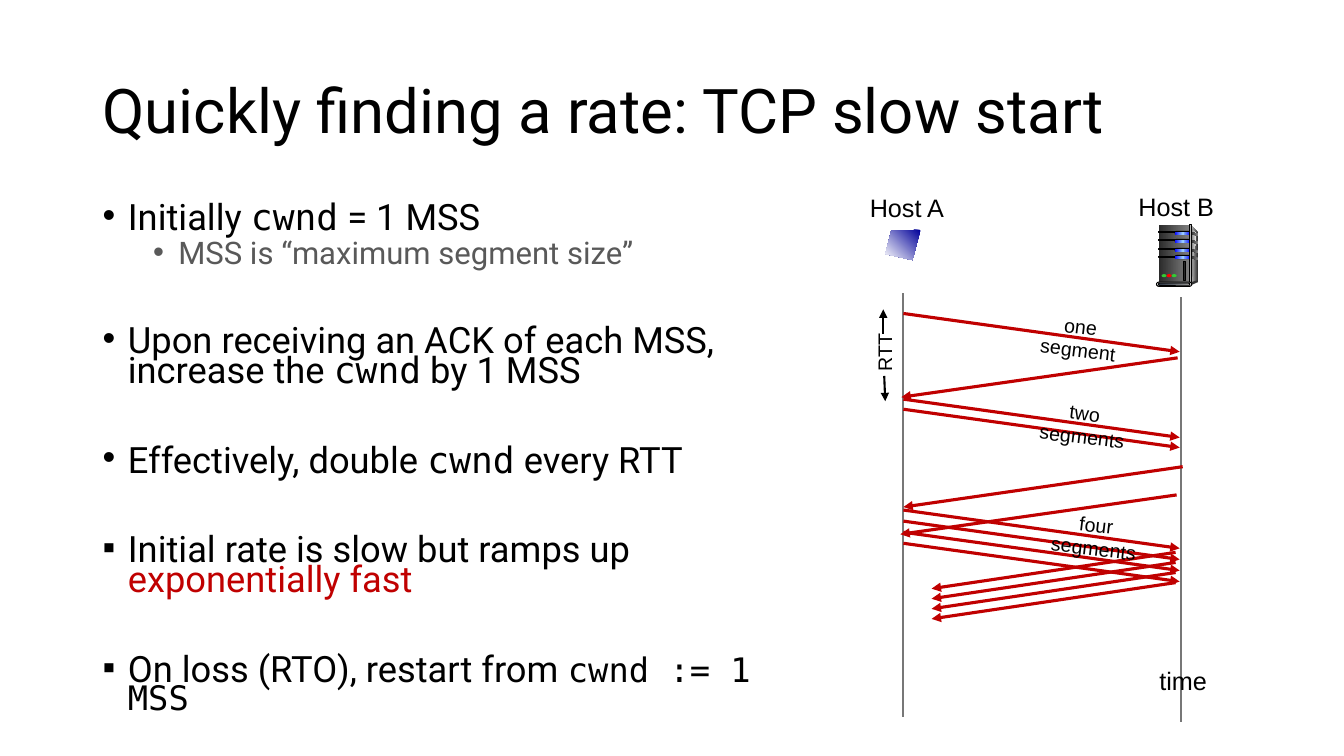
import copy
import dataclasses

import pptx
import pptx.dml.color
import pptx.enum.shapes
import pptx.enum.text
import pptx.oxml.ns
import pptx.util
from lxml import etree

PX = 9144
SHAPE = pptx.enum.shapes.MSO_SHAPE
ALIGN = pptx.enum.text.PP_ALIGN
ANCHOR = pptx.enum.text.MSO_ANCHOR


@dataclasses.dataclass(frozen=True)
class Theme:
    ink: str = "000000"
    muted: str = "595959"
    accent: str = "C00000"
    timeline: str = "777777"
    dark: str = "292929"
    mid: str = "808080"
    edge: str = "333333"
    light: str = "DDDDDD"
    green: str = "33CC33"
    red: str = "FF0000"
    screen: tuple = ("000099", "FFFFFF")
    lamp: tuple = ("0000FF", "99CCFF", "0000FF")
    foot: tuple = ("44546A", "E7E6E6")
    sans: str = "Roboto"
    mono: str = "DejaVu Sans Mono"
    label: str = "Arial"
    title_size: float = 44
    body_size: float = 25.9
    code_size: float = 24.1
    sub_size: float = 22.2
    host_size: float = 18
    segment_size: float = 14


THEME = Theme()


def rgb(color):
    return pptx.dml.color.RGBColor.from_string(color)


def px(*lengths):
    return [length * PX for length in lengths]


def add_run(paragraph, text, size, font, color=THEME.ink):
    run = paragraph.add_run()
    run.text = text
    run.font.size = pptx.util.Pt(size)
    run.font.name = font
    run.font.color.rgb = rgb(color)


def add_frame(slide, box, wrap=True, anchor=ANCHOR.TOP, rotation=0, inset=10):
    holder = slide.shapes.add_textbox(*px(*box))
    holder.rotation = rotation
    frame = holder.text_frame
    frame.word_wrap = wrap
    frame.vertical_anchor = anchor
    frame.margin_left = frame.margin_right = inset * PX
    return frame


def add_label(slide, text, box, size, rotation=0, wrap=False, inset=10):
    frame = add_frame(slide, box, wrap, rotation=rotation, inset=inset)
    frame.paragraphs[0].alignment = ALIGN.CENTER
    add_run(frame.paragraphs[0], text, size, THEME.label)


def add_bullet(paragraph, mark, indent, before, runs):
    properties = paragraph._p.get_or_add_pPr()
    properties.set("marL", str(indent * PX))
    properties.set("indent", str(-25 * PX))
    for tag, key, value in (("a:buFont", "typeface", THEME.label), ("a:buChar", "char", mark)):
        etree.SubElement(properties, pptx.oxml.ns.qn(tag)).set(key, value)
    paragraph.line_spacing = 0.7
    if before:
        paragraph.space_before = pptx.util.Pt(before)
    for run in runs:
        add_run(paragraph, *run)


def add_line(slide, ends, color, width, arrow=False):
    line = slide.shapes.add_connector(pptx.enum.shapes.MSO_CONNECTOR.STRAIGHT, *px(*ends))
    line.line.color.rgb = rgb(color)
    line.line.width = pptx.util.Pt(width)
    if arrow:
        outline = line.line._get_or_add_ln()
        etree.SubElement(outline, pptx.oxml.ns.qn("a:tailEnd")).set("type", "triangle")
    etree.SubElement(line._element.spPr, pptx.oxml.ns.qn("a:effectLst"))


def paint(part, fill, angle=0, outlined=False):
    part.shadow.inherit = False
    if isinstance(fill, str):
        part.fill.solid()
        part.fill.fore_color.rgb = rgb(fill)
    else:
        part.fill.gradient()
        part.fill.gradient_angle = angle
        stops = part._element.spPr.find(".//" + pptx.oxml.ns.qn("a:gsLst"))
        while len(stops) < len(fill):
            stops.append(copy.deepcopy(stops[-1]))
        for index, (stop, color) in enumerate(zip(part.fill.gradient_stops, fill)):
            stop.position = index / (len(fill) - 1)
            stop.color.rgb = rgb(color)
    if outlined:
        part.line.color.rgb = rgb(THEME.ink)
        part.line.width = pptx.util.Pt(0.75)
    else:
        part.line.fill.background()


def add_part(slide, kind, box, fill, outlined=False):
    part = slide.shapes.add_shape(kind, *px(*box))
    if kind == SHAPE.ROUNDED_RECTANGLE:
        part.adjustments[0] = 0.5
    paint(part, fill, outlined=outlined)


def add_outline(slide, points, fill, angle=0):
    builder = slide.shapes.build_freeform(*points[0], scale=PX)
    builder.add_line_segments(points[1:], close=True)
    paint(builder.convert_to_shape(), fill, angle)


def add_server(slide):
    rect, pill, dot = SHAPE.RECTANGLE, SHAPE.ROUNDED_RECTANGLE, SHAPE.OVAL
    shade = (THEME.dark, THEME.mid)
    add_outline(slide, [(1182, 224), (1188, 231), (1188, 278), (1180, 281)],
                (THEME.light, THEME.edge))
    add_part(slide, rect, (1149, 223, 31, 57), shade)
    add_outline(slide, [(1182, 227), (1187, 232), (1183, 258), (1182, 279)],
                (THEME.mid, "F8F8F8"))
    for top in (229, 237, 246, 253):
        add_part(slide, rect, (1149, top + 1, 18, 1), THEME.ink, True)
        add_part(slide, pill, (1165, top, 17, 4), THEME.ink)
        add_part(slide, pill, (1165, top + 1, 16, 3), THEME.lamp)
        add_outline(slide, [(1181, top + 1), (1188, top + 3), (1188, top + 5), (1181, top + 3)],
                    shade)
    add_part(slide, rect, (1180, 223, 2, 57), (THEME.edge, THEME.light, THEME.edge), True)
    add_part(slide, dot, (1187, 278, 1, 2), THEME.edge)
    add_outline(slide, [(1181, 280), (1181, 283), (1188, 280), (1188, 278)], THEME.edge)
    add_part(slide, pill, (1147, 280, 35, 4), THEME.light, True)
    add_part(slide, pill, (1149, 281, 31, 2), THEME.foot, True)
    for left, color in ((1152, THEME.green), (1157, THEME.red), (1162, THEME.green)):
        add_part(slide, dot, (left, 272, 5, 3), color)
    add_part(slide, rect, (1174, 259, 2, 19), THEME.dark, True)


def add_points(slide):
    def say(text, color=THEME.ink):
        return text, THEME.body_size, THEME.sans, color

    cwnd = ("cwnd", THEME.body_size, THEME.mono)
    gap = 42
    points = [
        ("•", 25, 0, [say("Initially "), cwnd, say(" = 1 MSS")]),
        ("•", 75, 5, [("MSS is “maximum segment size”", THEME.sub_size, THEME.sans, THEME.muted)]),
        ("•", 25, gap, [say("Upon receiving an ACK of each MSS, increase the "), cwnd,
                        say(" by 1 MSS")]),
        ("•", 25, gap, [say("Effectively, double "), cwnd, say(" every RTT")]),
        ("▪", 25, gap, [say("Initial rate is slow but ramps up "),
                        say("exponentially fast", THEME.accent)]),
        ("▪", 25, gap, [say("On loss (RTO), restart from "),
                        ("cwnd := 1 MSS", THEME.code_size, THEME.mono)]),
    ]
    frame = add_frame(slide, (92, 200, 738, 538))
    for index, point in enumerate(points):
        add_bullet(frame.add_paragraph() if index else frame.paragraphs[0], *point)


def add_exchange(slide):
    for ends in ((896, 291, 896, 711), (1171, 295, 1171, 716)):
        add_line(slide, ends, THEME.timeline, 1.5)
    for ends in ((876, 331, 876, 307), (877, 373, 878, 398)):
        add_line(slide, ends, THEME.ink, 1.5, True)
    segments = [(896, top, 1170, top + 38) for top in (311, 396, 406, 506, 517, 528, 539)]
    acks = [(1168, 355, 894, 394), (1173, 463, 896, 503), (1167, 491, 893, 530)]
    acks += [(1166, 548 + 10 * n, 924, 584 + 10 * n) for n in range(4)]
    for ends in segments + acks:
        add_line(slide, ends, THEME.accent, 2.25, True)
    for text, box in (("Host A", (852, 186, 95, 40)), ("Host B", (1119, 185, 95, 40)),
                      ("time", (1140, 655, 67, 40))):
        add_label(slide, text, box, THEME.host_size)
    add_label(slide, "RTT", (848, 333, 58, 33), THEME.segment_size, 270)
    for text, box in (("one segment", (1006, 307, 132, 33)), ("two segments", (1006, 393, 140, 33)),
                      ("four segments", (1016, 504, 143, 33))):
        add_label(slide, text, box, THEME.segment_size, 6.8, True, 16)


def main():
    deck = pptx.Presentation()
    deck.slide_width, deck.slide_height = px(1333, 750)
    slide = deck.slides.add_slide(deck.slide_layouts[6])
    title = add_frame(slide, (92, 40, 1150, 145), anchor=ANCHOR.MIDDLE).paragraphs[0]
    title.line_spacing = 0.9
    add_run(title, "Quickly finding a rate: TCP slow start", THEME.title_size, THEME.sans)
    add_points(slide)
    add_exchange(slide)
    add_outline(slide, [(913, 228), (884, 229), (878, 252), (905, 258)], THEME.screen, 225)
    add_server(slide)
    deck.save("out.pptx")


if __name__ == "__main__":
    main()
